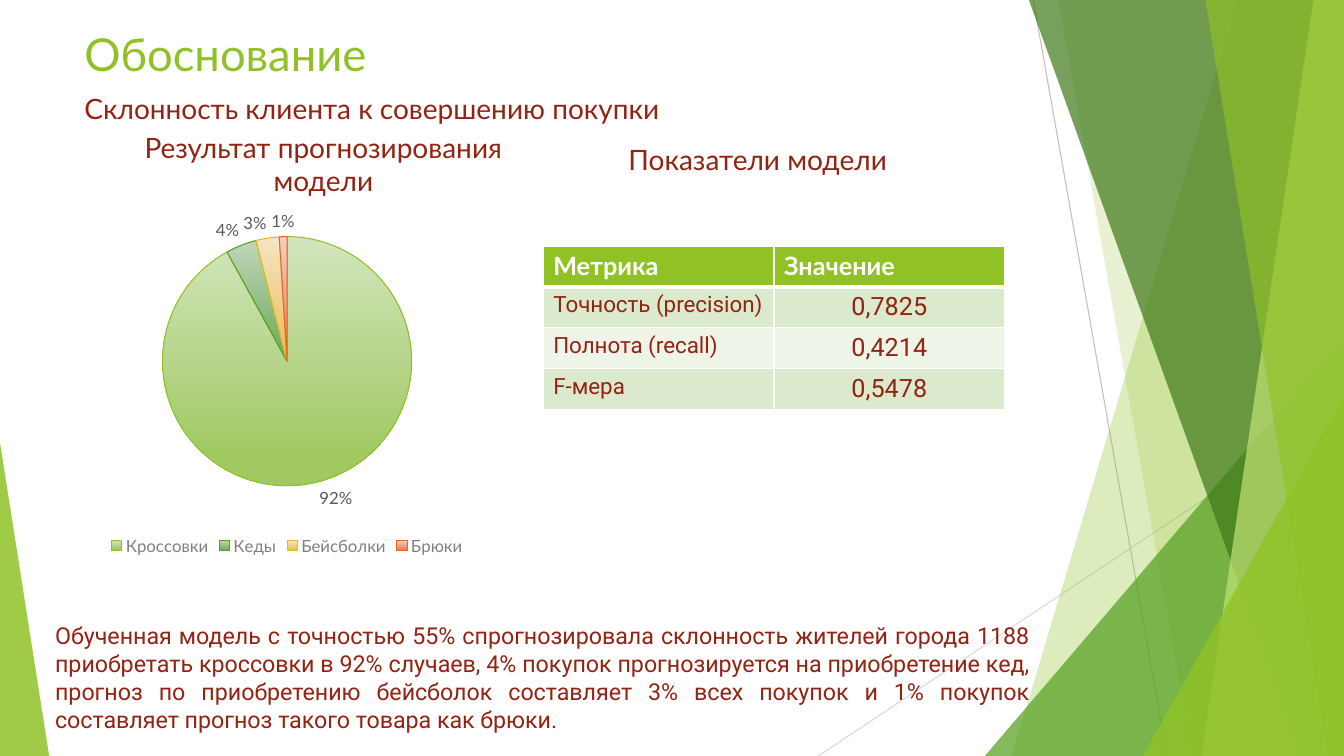
import pptx
import pptx.chart.data
import pptx.dml.color
import pptx.enum.chart
import pptx.enum.shapes
import pptx.enum.text
import pptx.oxml
import pptx.oxml.ns
import pptx.util
from pptx.util import Cm

RGBColor = pptx.dml.color.RGBColor
Align = pptx.enum.text.PP_ALIGN
Anchor = pptx.enum.text.MSO_ANCHOR

WHITE = RGBColor(0xFF, 0xFF, 0xFF)
LIME = RGBColor(0x90, 0xC2, 0x26)
GREEN = RGBColor(0x54, 0xA0, 0x21)
FOREST = RGBColor(0x3F, 0x78, 0x19)
PALE_LIME = RGBColor(0xC0, 0xE4, 0x74)
YELLOW = RGBColor(0xE6, 0xB9, 0x1E)
ORANGE = RGBColor(0xE7, 0x66, 0x18)
MAROON = RGBColor(0x93, 0x23, 0x13)
BAND_DARK = RGBColor(0xDB, 0xE9, 0xCD)
BAND_LIGHT = RGBColor(0xEE, 0xF4, 0xE8)
LINE_GREY = RGBColor(0xBF, 0xBF, 0xBF)
LIGHT_GREY = RGBColor(0xD9, 0xD9, 0xD9)
LEGEND_GREY = RGBColor(0x80, 0x80, 0x80)
LABEL_GREY = RGBColor(0x59, 0x59, 0x59)

WIDTH, HEIGHT = 33.87, 19.05

SLICES = [
    ("Кроссовки", 92, RGBColor(0xD3, 0xE5, 0xBE), RGBColor(0xA0, 0xC9, 0x62), LIME),
    ("Кеды", 4, RGBColor(0xC0, 0xD6, 0xB9), RGBColor(0x76, 0xAD, 0x61), GREEN),
    ("Бейсболки", 3, RGBColor(0xF5, 0xE5, 0xC5), RGBColor(0xE9, 0xC2, 0x60), YELLOW),
    ("Брюки", 1, RGBColor(0xF5, 0xCE, 0xC5), RGBColor(0xEA, 0x81, 0x5F), ORANGE),
]

METRICS = [
    ("Метрика", "Значение"),
    ("Точность (precision)", "0,7825"),
    ("Полнота (recall)", "0,4214"),
    ("F-мера", "0,5478"),
]

SUMMARY = (
    "Обученная модель с точностью 55% спрогнозировала склонность жителей города 1188 "
    "приобретать кроссовки в 92% случаев, 4% покупок прогнозируется на приобретение кед, "
    "прогноз по приобретению бейсболок составляет 3% всех покупок и 1% покупок составляет "
    "прогноз такого товара как брюки."
)


class SlideBuilder:
    def __init__(self, prs):
        self.slide = prs.slides.add_slide(prs.slide_layouts[6])
        self.shapes = self.slide.shapes

    def style(self, font, size, color, name="Lato", bold=False):
        for key, value in {"size": pptx.util.Pt(size), "name": name, "bold": bold}.items():
            setattr(font, key, value)
        font.color.rgb = color

    def line(self, x1, y1, x2, y2, color):
        s = self.shapes.add_connector(
            pptx.enum.shapes.MSO_CONNECTOR.STRAIGHT, Cm(x1), Cm(y1), Cm(x2), Cm(y2))
        s.line.color.rgb = color
        s.line.width = pptx.util.Pt(0.75)
        s._element.spPr.append(pptx.oxml.parse_xml(
            f'<a:effectLst {pptx.oxml.ns.nsdecls("a")}/>'))

    def paint(self, s, color, opacity):
        s.shadow.inherit = False
        s.fill.solid()
        s.fill.fore_color.rgb = color
        s.line.fill.background()
        alpha = pptx.oxml.parse_xml(
            f'<a:alpha {pptx.oxml.ns.nsdecls("a")} val="{opacity * 1000}"/>')
        s._element.spPr.xpath("./a:solidFill/a:srgbClr")[0].append(alpha)

    def ribbon(self, top_x, bottom_x, color, opacity):
        builder = self.shapes.build_freeform(Cm(top_x), 0)
        builder.add_line_segments(
            [(Cm(WIDTH), 0), (Cm(WIDTH), Cm(HEIGHT)), (Cm(bottom_x), Cm(HEIGHT))], close=True)
        self.paint(builder.convert_to_shape(), color, opacity)

    def triangle(self, x, y, width, apex, color, opacity):
        s = self.shapes.add_shape(
            pptx.enum.shapes.MSO_SHAPE.ISOSCELES_TRIANGLE,
            Cm(x), Cm(y), Cm(width), Cm(HEIGHT - y))
        s.adjustments[0] = apex
        self.paint(s, color, opacity)

    def text(self, box, text, size, color=MAROON, name="Lato",
             align=Align.LEFT, anchor=Anchor.TOP, before=10):
        tf = self.shapes.add_textbox(*map(Cm, box)).text_frame
        for key, value in {"word_wrap": True, "vertical_anchor": anchor}.items():
            setattr(tf, key, value)
        p = tf.paragraphs[0]
        p.alignment = align
        p.space_before = pptx.util.Pt(before)
        r = p.add_run()
        r.text = text
        self.style(r.font, size, color, name)

    def borders(self, cell, top, bottom):
        for side, width in {"L": 1, "R": 1, "T": top, "B": bottom}.items():
            cell._tc.get_or_add_tcPr().append(pptx.oxml.parse_xml(
                f'<a:ln{side} {pptx.oxml.ns.nsdecls("a")} w="{pptx.util.Pt(width)}">'
                f'<a:solidFill><a:srgbClr val="{WHITE}"/></a:solidFill></a:ln{side}>'))

    def table(self, box, rows):
        table = self.shapes.add_table(len(rows), len(rows[0]), *map(Cm, box)).table
        for i, row in enumerate(rows):
            for j, text in enumerate(row):
                cell = table.cell(i, j)
                self.borders(cell, 3 if i == 1 else 1, 3 if i == 0 else 1)
                cell.fill.solid()
                p = cell.text_frame.paragraphs[0]
                r = p.add_run()
                r.text = text
                if i == 0:
                    cell.fill.fore_color.rgb = LIME
                    self.style(r.font, 18, WHITE, bold=True)
                else:
                    cell.fill.fore_color.rgb = BAND_DARK if i % 2 else BAND_LIGHT
                    p.alignment = Align.CENTER if j else Align.LEFT
                    self.style(r.font, 18 if j else 16, MAROON, "Roboto")

    def pie(self, box, slices):
        data = pptx.chart.data.CategoryChartData()
        data.categories = [row[0] for row in slices]
        data.add_series("Series 1", [row[1] for row in slices])
        chart = self.shapes.add_chart(
            pptx.enum.chart.XL_CHART_TYPE.PIE, *map(Cm, box), data).chart
        chart.has_title = False
        chart.has_legend = True
        chart.legend.position = pptx.enum.chart.XL_LEGEND_POSITION.BOTTOM
        chart.legend.include_in_layout = False
        self.style(chart.legend.font, 12, LEGEND_GREY)
        plot = chart.plots[0]
        plot.vary_by_categories = True
        plot.has_data_labels = True
        labels = plot.data_labels
        for key, value in {
            "show_percentage": True, "show_value": False,
            "number_format": "0%", "number_format_is_linked": False,
            "position": pptx.enum.chart.XL_LABEL_POSITION.OUTSIDE_END,
        }.items():
            setattr(labels, key, value)
        self.style(labels.font, 12, LABEL_GREY)
        for i, (_, _, light, dark, outline) in enumerate(slices):
            fmt = plot.series[0].points[i].format
            fmt.fill.gradient()
            fmt.fill.gradient_angle = 270
            for stop, color, position in zip(fmt.fill.gradient_stops, (light, dark), (0, 0.88)):
                stop.color.rgb = color
                stop.position = position
            fmt.line.color.rgb = outline
            fmt.line.width = pptx.util.Pt(0.75)
        area = chart._chartSpace.chart.plotArea
        for old in area.xpath("./c:layout"):
            area.remove(old)
        area.insert(0, pptx.oxml.parse_xml(
            f'<c:layout {pptx.oxml.ns.nsdecls("c")}><c:manualLayout>'
            '<c:layoutTarget val="inner"/><c:xMode val="edge"/><c:yMode val="edge"/>'
            '<c:x val="0.23"/><c:y val="0.11"/><c:w val="0.54"/><c:h val="0.69"/>'
            '</c:manualLayout></c:layout>'))


def main():
    prs = pptx.Presentation()
    prs.slide_width, prs.slide_height = Cm(WIDTH), Cm(HEIGHT)
    b = SlideBuilder(prs)
    b.line(26.04, 0, 29.41, HEIGHT, LINE_GREY)
    b.line(WIDTH, 10.24, 20.62, HEIGHT, LIGHT_GREY)
    b.ribbon(31.19, 25.5, LIME, 30)
    b.ribbon(26.67, 30.05, LIME, 20)
    b.triangle(24.82, 8.46, 9.05, 1, GREEN, 72)
    b.ribbon(25.93, 32.79, FOREST, 70)
    b.ribbon(33.1, 30.28, PALE_LIME, 70)
    b.ribbon(30.38, 33.48, LIME, 65)
    b.triangle(28.8, 9.98, 5.07, 1, LIME, 80)
    b.triangle(0, 11.15, 1.24, 0, LIME, 85)
    b.text((1.88, 0.53, 23.88, 1.75), "Обоснование", 32.4, LIME, before=0)
    b.text((1.88, 1.68, 21.06, 1.6), "Склонность клиента к совершению покупки", 20,
           align=Align.JUSTIFY, anchor=Anchor.BOTTOM)
    b.text((13.28, 3.3, 11.63, 1.27), "Показатели модели", 20,
           align=Align.CENTER, anchor=Anchor.BOTTOM)
    b.table((13.69, 6.2, 11.63, 4.12), METRICS)
    b.text((1.14, 15.54, 25.04, 3.25), SUMMARY, 16.6, name="Roboto", align=Align.JUSTIFY)
    b.pie((1.42, 4.93, 11.63, 9.17), SLICES)
    b.text((2.18, 3.4, 11.94, 1.7), "Результат прогнозирования модели", 20,
           align=Align.CENTER, anchor=Anchor.BOTTOM)
    prs.save("out.pptx")


if __name__ == "__main__":
    main()
